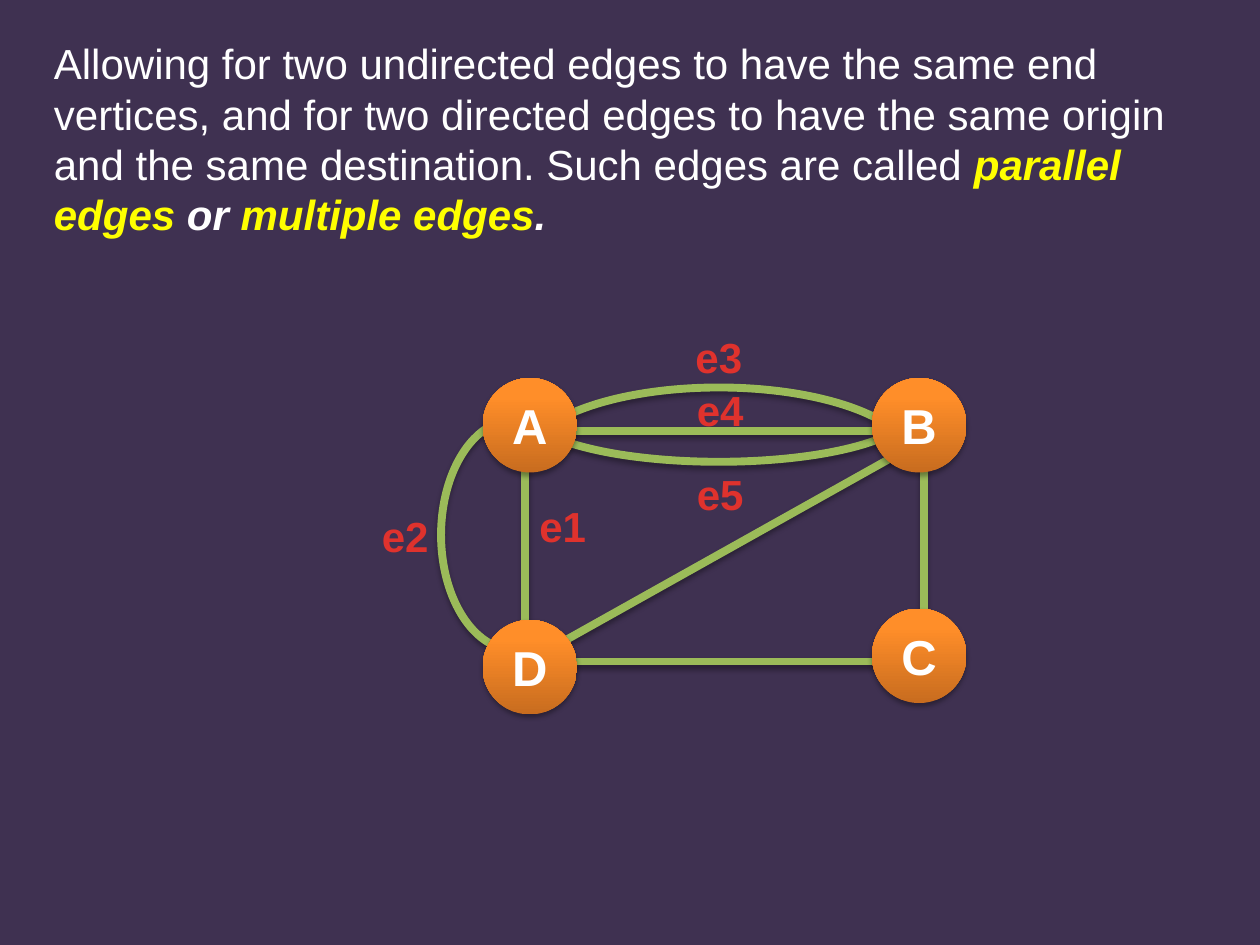
"""Build a slide that shows parallel edges in a graph."""
from lxml.etree import SubElement
from pptx import Presentation
from pptx.dml.color import RGBColor
from pptx.enum.shapes import MSO_CONNECTOR, MSO_SHAPE
from pptx.enum.text import MSO_ANCHOR, PP_ALIGN
from pptx.oxml.ns import qn
from pptx.util import Inches, Pt

PURPLE = RGBColor(0x3F, 0x31, 0x51)
WHITE = RGBColor(0xFF, 0xFF, 0xFF)
YELLOW = RGBColor(0xFF, 0xFF, 0x00)
GREEN = RGBColor(0x9B, 0xBB, 0x59)
RED = RGBColor(0xDF, 0x32, 0x2D)
BROWN = RGBColor(0xC8, 0x6C, 0x1F)
ORANGE = RGBColor(0xFF, 0x8E, 0x29)


def add_run(para, text, size, color, bold=True, italic=False):
    run = para.add_run()
    run.text = text
    font = run.font
    font.name, font.size, font.bold, font.italic = "Arial", Pt(size), bold, italic
    font.color.rgb = color


def add_shadow(shape):
    effects = SubElement(shape._element.spPr, qn("a:effectLst"))
    outer = SubElement(effects, qn("a:outerShdw"), blurRad=str(Pt(3.1)),
                       dist=str(Pt(1.8)), dir="5400000", rotWithShape="0")
    black = SubElement(outer, qn("a:srgbClr"), val="000000")
    SubElement(black, qn("a:alpha"), val="35000")


prs = Presentation()
prs.slide_width, prs.slide_height = Inches(10), Inches(7.5)
slide = prs.slides.add_slide(prs.slide_layouts[6])
slide.background.fill.solid()
slide.background.fill.fore_color.rgb = PURPLE
shapes = slide.shapes

box = shapes.add_textbox(Inches(0.33), Inches(0.25), Inches(9.33), Inches(1.72))
box.text_frame.word_wrap = True
para = box.text_frame.paragraphs[0]
add_run(para, "Allowing for two undirected edges to have the same end vertices, "
        "and for two directed edges to have the same origin and the same "
        "destination. Such edges are called ", 24, WHITE, bold=False)
for text, color in [("parallel edges", YELLOW), (" or ", WHITE),
                    ("multiple edges", YELLOW), (".", WHITE)]:
    add_run(para, text, 24, color, italic=True)

arcs = [
    (5.29, 1.71, 0.83, 3.08, 270, 55.65, 162),
    (5.12, 2.12, 1.17, 3.08, 270, 162, 52.35),
    (3.5, 3.33, 1.17, 1.83, 180, 162, 47.94),
]
for left, top, width, height, turn, start, end in arcs:
    arc = shapes.add_shape(MSO_SHAPE.ARC, Inches(left), Inches(top),
                           Inches(width), Inches(height))
    arc.rotation = turn
    arc.adjustments[0], arc.adjustments[1] = start, end
    arc.fill.background()
    arc.line.color.rgb = GREEN
    arc.line.width = Pt(4.5)
    add_shadow(arc)

lines = [
    (7.17, 3.58, 4.33, 5.17),
    (7.33, 3.67, 7.33, 4.92),
    (4.17, 3.67, 4.17, 4.92),
    (4.42, 5.25, 7.08, 5.25),
    (4.42, 3.42, 7.08, 3.42),
]
for ends in lines:
    edge = shapes.add_connector(MSO_CONNECTOR.STRAIGHT, *map(Inches, ends))
    edge.line.color.rgb = GREEN
    edge.line.width = Pt(4.5)
    add_shadow(edge)

nodes = [("A", 3.83, 3), ("C", 6.92, 4.83), ("B", 6.92, 3), ("D", 3.83, 4.92)]
for name, left, top in nodes:
    node = shapes.add_shape(MSO_SHAPE.OVAL, Inches(left), Inches(top),
                            Inches(0.75), Inches(0.75))
    node.fill.gradient()
    node.fill.gradient_angle = 90
    for stop, place, color in zip(node.fill.gradient_stops, (0, 0.8), (BROWN, ORANGE)):
        stop.position = place
        stop.color.rgb = color
    node.line.fill.background()
    add_shadow(node)
    node.text_frame.vertical_anchor = MSO_ANCHOR.MIDDLE
    para = node.text_frame.paragraphs[0]
    para.alignment = PP_ALIGN.CENTER
    add_run(para, name, 28, WHITE)

labels = [("e1", 4.17, 3.92), ("e2", 2.92, 4), ("e3", 5.41, 2.58),
          ("e5", 5.42, 3.67), ("e4", 5.42, 3)]
for name, left, top in labels:
    label = shapes.add_textbox(Inches(left), Inches(top), Inches(0.59), Inches(0.5))
    label.text_frame.word_wrap = True
    para = label.text_frame.paragraphs[0]
    para.alignment = PP_ALIGN.CENTER
    add_run(para, name, 24, RED)

prs.save("out.pptx")
